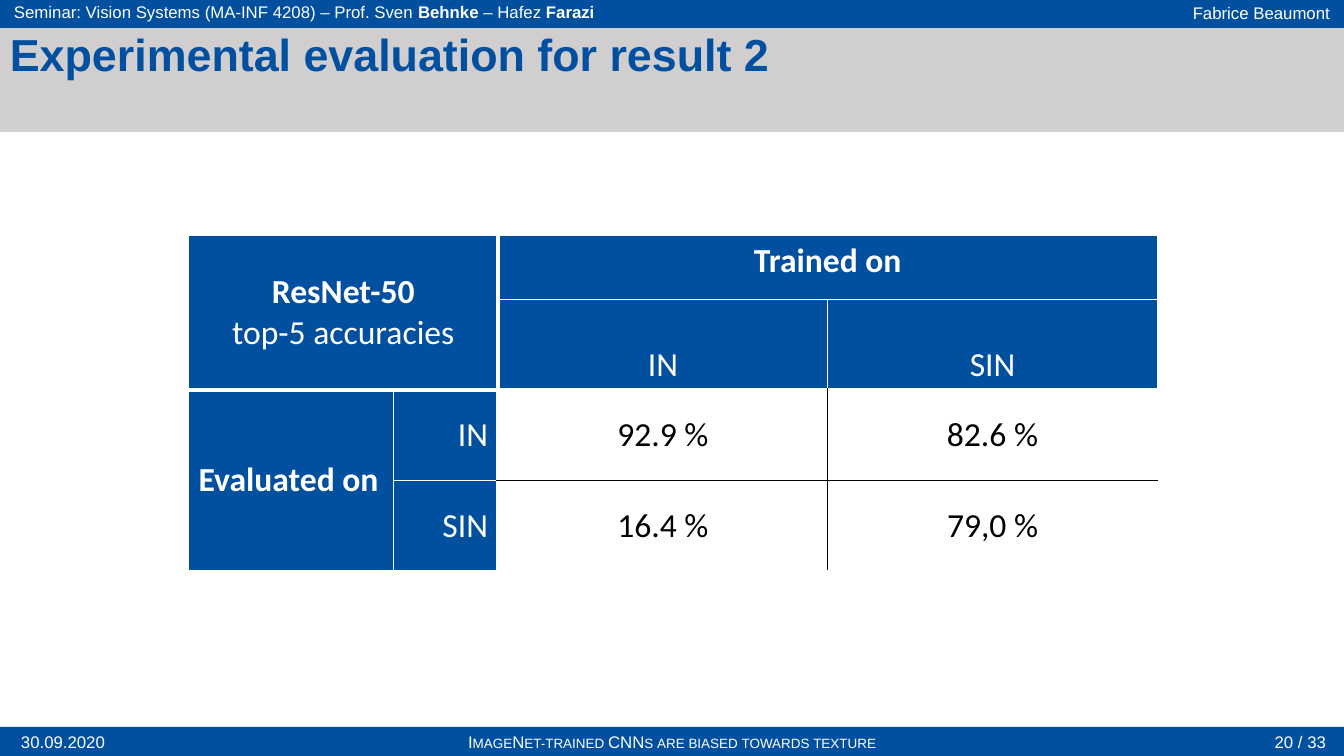
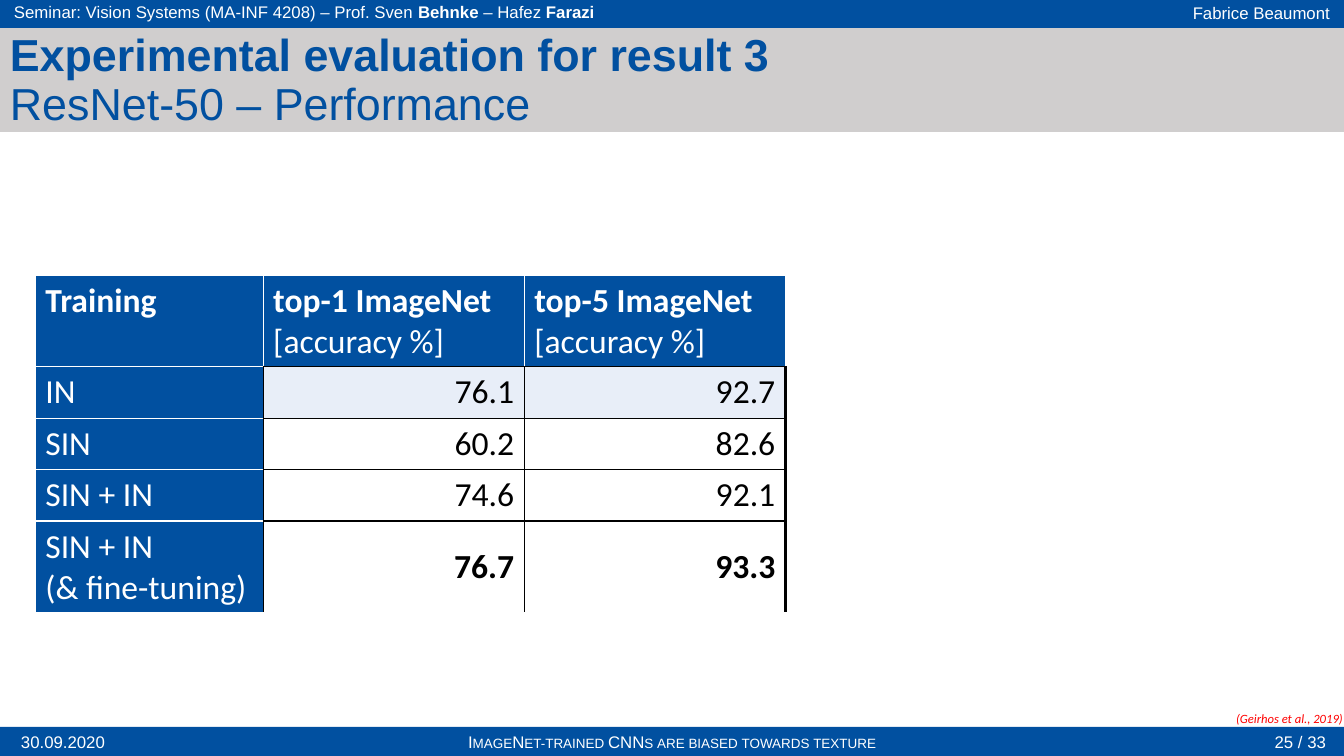
from dataclasses import dataclass

from lxml.etree import SubElement
from pptx import Presentation
from pptx.dml.color import RGBColor
from pptx.enum.shapes import MSO_SHAPE
from pptx.enum.text import MSO_ANCHOR, PP_ALIGN
from pptx.oxml.ns import qn
from pptx.util import Inches, Pt


@dataclass(frozen=True)
class Theme:
    blue: str = "0150A0"
    grey: str = "D0CECE"
    pale: str = "E8EEF8"
    white: str = "FFFFFF"
    black: str = "000000"
    red: str = "FF0000"
    frame_font: str = "Arial"
    table_font: str = "Calibri"
    title_size: int = 32
    table_size: int = 24
    frame_size: int = 12
    source_size: int = 9
    thin: int = 1
    thick: int = 3


THEME = Theme()
WIDTH, HEIGHT, BAND = 13.33, 7.5, 0.29
ALIGN = {"l": PP_ALIGN.LEFT, "c": PP_ALIGN.CENTER, "r": PP_ALIGN.RIGHT}
ANCHOR = {"t": MSO_ANCHOR.TOP, "m": MSO_ANCHOR.MIDDLE, "b": MSO_ANCHOR.BOTTOM}

BANDS = [
    ((0, HEIGHT - BAND, WIDTH, BAND), THEME.blue),
    ((0, -0.01, WIDTH, BAND), THEME.blue),
    ((0, 0.28, WIDTH, 1.03), THEME.grey),
]
AUTHOR = [("Fabrice Beaumont", False)]
DATE = [("30.09.2020", False)]
TOPIC = [("ImageNet-trained CNNs are biased towards texture", False)]
SEMINAR = [
    ("Seminar: Vision Systems (MA-INF 4208) – Prof. Sven ", False),
    ("Behnke", True),
    (" – Hafez ", False),
    ("Farazi", True),
]


def head(text, align="l", anchor="t", bold=False, detail=""):
    runs = [(text, bold)] + ([(detail, False)] if detail else [])
    return runs, align, anchor, THEME.blue


def value(text, align, bold=False, fill=None):
    return [(text, bold)], align, "m", fill


CROSS_TABLE = {
    "origin": (1.87, 2.34),
    "columns": [2.03, 1.04, 3.27, 3.27],
    "rows": [0.63, 0.89, 0.9, 0.89],
    "merges": [(0, 0, 1, 1), (0, 2, 0, 3), (2, 0, 3, 0)],
    "cells": [
        [head("ResNet-50\n", "c", "m", True, "top-5 accuracies"), None,
         head("Trained on", "c", bold=True), None],
        [None, None, head("IN", "c", "b"), head("SIN", "c", "b")],
        [head("Evaluated on", "l", "m", True), head("IN", "r", "m"),
         value("92.9 %", "c"), value("82.6 %", "c")],
        [None, head("SIN", "r", "m"), value("16.4 %", "c"), value("79,0 %", "c")],
    ],
    "lines": [
        ("column", 3, 2, 4, THEME.black, THEME.thin),
        ("row", 3, 2, 4, THEME.black, THEME.thin),
        ("column", 2, 0, 4, THEME.white, THEME.thick),
        ("row", 2, 0, 4, THEME.white, THEME.thick),
    ],
}

TRAINING_ROWS = [
    ("IN", "76.1", "92.7", False, THEME.pale),
    ("SIN", "60.2", "82.6", False, None),
    ("SIN + IN", "74.6", "92.1", False, None),
    ("SIN + IN\n(& fine-tuning)", "76.7", "93.3", True, None),
]
TRAINING_TABLE = {
    "origin": (0.35, 2.73),
    "columns": [2.26, 2.59, 2.59],
    "rows": [0.91, 0.51, 0.51, 0.51, 0.91],
    "merges": [],
    "cells": [
        [head("Training", bold=True)]
        + [head(f"top-{rank} ImageNet\n", bold=True, detail="[accuracy %]") for rank in (1, 5)]
    ] + [
        [head(name)] + [value(score, "r", bold, fill) for score in (top1, top5)]
        for name, top1, top5, bold, fill in TRAINING_ROWS
    ],
    "lines": [("row", row, 1, 3, THEME.black, THEME.thin) for row in range(1, 5)]
    + [("column", column, 1, 5, THEME.black, THEME.thin) for column in (1, 2)]
    + [("column", 3, 1, 5, THEME.black, THEME.thick)],
}

PAGES = [
    {"title": [("Experimental evaluation for result 2", True)],
     "number": "20 / 33", "table": CROSS_TABLE, "source": None},
    {"title": [("Experimental evaluation for result 3\n", True), ("ResNet-50 – Performance", False)],
     "number": "25 / 33", "table": TRAINING_TABLE, "source": "(Geirhos et al., 2019)"},
]


def color(code):
    return RGBColor.from_string(code)


def write(para, runs, font, size, ink, align="l"):
    para.alignment = ALIGN[align]
    para.font.name, para.font.size = font, Pt(size)
    para.font.color.rgb = color(ink)
    weights = {bold for _, bold in runs}
    if len(weights) == 1:
        para.font.bold = weights.pop()
    for text, bold in runs:
        for index, line in enumerate(text.split("\n")):
            if index:
                para.add_line_break()
            if line:
                span = para.add_run()
                span.text = line
                if para.font.bold is None:
                    span.font.bold = bold


def add_text(page, at, runs, align="l", anchor="m", font=THEME.frame_font,
             size=THEME.frame_size, ink=THEME.white):
    box = page.shapes.add_textbox(*map(Inches, at))
    box.text_frame.word_wrap = True
    box.text_frame.vertical_anchor = ANCHOR[anchor]
    write(box.text_frame.paragraphs[0], runs, font, size, ink, align)
    return box.text_frame


def add_frame(page, title, number):
    for at, fill in BANDS:
        band = page.shapes.add_shape(MSO_SHAPE.RECTANGLE, *map(Inches, at))
        band.shadow.inherit = False
        band.fill.solid()
        band.fill.fore_color.rgb = color(fill)
        band.line.fill.background()
    footer = HEIGHT - BAND
    add_text(page, (10.41, -0.02, 2.88, BAND), AUTHOR, "r")
    add_text(page, (0.04, -0.03, 8.25, BAND), SEMINAR)
    add_text(page, (0.02, footer, 1.21, BAND), DATE, "c")
    topic = add_text(page, (3.99, footer, 5.35, BAND), TOPIC, "c")
    for span in topic.paragraphs[0].runs:
        span._r.get_or_add_rPr().set("cap", "small")
    add_text(page, (12.34, footer, 0.91, BAND), [(number, False)], "r")
    heading = add_text(page, (0, 0.28, 11.5, 0.53), title, anchor="t",
                       size=THEME.title_size, ink=THEME.blue)
    heading.paragraphs[0].line_spacing = 0.9


def find_borders(data, owners):
    row_count, column_count = len(data["rows"]), len(data["columns"])
    grid = [("row", row, 0, column_count, THEME.white, THEME.thin) for row in range(row_count + 1)]
    grid += [("column", column, 0, row_count, THEME.white, THEME.thin)
             for column in range(column_count + 1)]
    borders = {}
    for axis, place, first, last, ink, width in grid + data["lines"]:
        for step in range(first, last):
            if axis == "row":
                sides = ((place - 1, step), "B"), ((place, step), "T")
            else:
                sides = ((step, place - 1), "R"), ((step, place), "L")
            before, after = (owners.get(spot) for spot, _ in sides)
            if before == after:
                continue
            for owner, side in ((before, sides[0][1]), (after, sides[1][1])):
                if owner:
                    borders.setdefault(owner, {})[side] = ink, width
    return borders


def draw_borders(cell, borders):
    properties = cell._tc.get_or_add_tcPr()
    for side in "LRTB":
        ink, width = borders[side]
        line = SubElement(properties, qn(f"a:ln{side}"), w=str(Pt(width)))
        SubElement(SubElement(line, qn("a:solidFill")), qn("a:srgbClr"), val=ink)


def add_grid(page, data):
    columns, rows = data["columns"], data["rows"]
    size = sum(columns), sum(rows)
    table = page.shapes.add_table(len(rows), len(columns),
                                  *map(Inches, data["origin"] + size)).table
    table.first_row = table.horz_banding = False
    for parts, lengths, name in ((table.columns, columns, "width"), (table.rows, rows, "height")):
        for part, length in zip(parts, lengths):
            setattr(part, name, Inches(length))
    owners = {(row, column): (row, column)
              for row in range(len(rows)) for column in range(len(columns))}
    for top, left, bottom, right in data["merges"]:
        table.cell(top, left).merge(table.cell(bottom, right))
        for row in range(top, bottom + 1):
            for column in range(left, right + 1):
                owners[row, column] = top, left
    for spot, borders in find_borders(data, owners).items():
        cell = table.cell(*spot)
        runs, align, anchor, fill = data["cells"][spot[0]][spot[1]]
        draw_borders(cell, borders)
        if fill:
            cell.fill.solid()
            cell.fill.fore_color.rgb = color(fill)
        else:
            cell.fill.background()
        cell.vertical_anchor = ANCHOR[anchor]
        ink = THEME.white if fill == THEME.blue else THEME.black
        write(cell.text_frame.paragraphs[0], runs, THEME.table_font, THEME.table_size, ink, align)


def add_source(page, text):
    frame = add_text(page, (12.26, 7.05, 1.07, 0.15), [(text, False)], anchor="t",
                     font=THEME.table_font, size=THEME.source_size, ink=THEME.red)
    frame.margin_left = frame.margin_right = frame.margin_top = frame.margin_bottom = 0
    frame.word_wrap = False
    frame.paragraphs[0].font.italic = True


def main():
    deck = Presentation()
    deck.slide_width, deck.slide_height = Inches(WIDTH), Inches(HEIGHT)
    for content in PAGES:
        page = deck.slides.add_slide(deck.slide_layouts[6])
        add_frame(page, content["title"], content["number"])
        add_grid(page, content["table"])
        if content["source"]:
            add_source(page, content["source"])
    deck.save("out.pptx")


if __name__ == "__main__":
    main()
